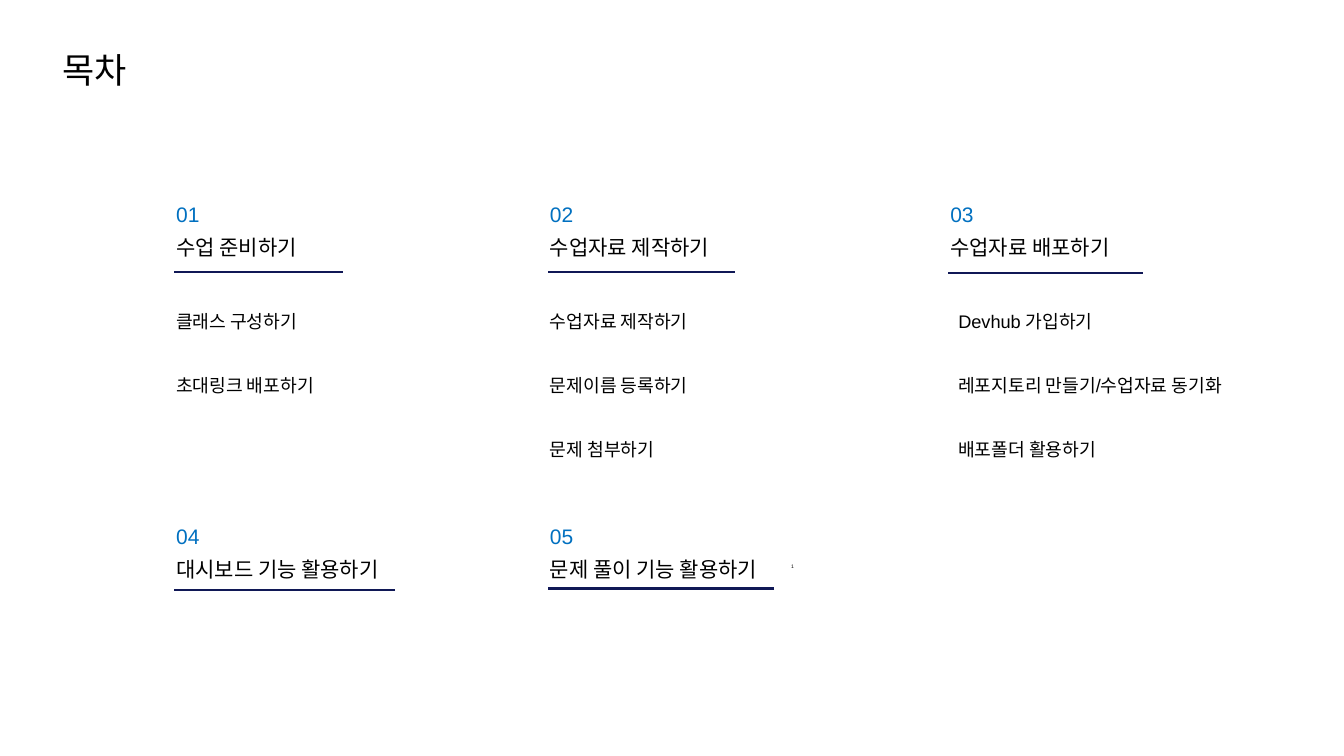
from dataclasses import dataclass

from lxml import etree
from pptx import Presentation
from pptx import util as u
from pptx.dml.color import RGBColor
from pptx.enum import shapes, text
from pptx.oxml.ns import qn


@dataclass(frozen=True)
class Theme:
    font: str = "Arial"
    ink: str = "000000"
    number: str = "0070C0"
    rule: str = "101856"
    title_size: float = 25
    heading_size: float = 15
    item_size: float = 13
    mark_size: float = 3.6
    rule_width: float = 1.5
    heading_gap: float = 5.8
    item_gap: float = 22.4
    item_spacing: float = 1.5


class ContentsPage:
    def __init__(self, deck, theme):
        self.theme = theme
        self.page = deck.slides.add_slide(deck.slide_layouts[5])

    def fill_text(self, box, lines, size, gap=0, spacing=None):
        frame = box.text_frame
        frame.text = "\n".join(lines)
        frame.word_wrap = True
        frame.auto_size = text.MSO_AUTO_SIZE.NONE
        frame.vertical_anchor = text.MSO_ANCHOR.TOP
        for index, para in enumerate(frame.paragraphs):
            para.alignment = text.PP_ALIGN.LEFT
            para.line_spacing = spacing
            if index:
                para.space_before = u.Pt(gap)
            for span in para.runs:
                span.font.name = self.theme.font
                span.font.size = u.Pt(size)
                span.font.color.rgb = RGBColor.from_string(self.theme.ink)
        return frame

    def title(self, words, left, top, width, height):
        box = self.page.shapes.title
        box.left, box.top = u.Cm(left), u.Cm(top)
        box.width, box.height = u.Cm(width), u.Cm(height)
        self.fill_text(box, [words], self.theme.title_size)

    def label(self, lines, left, top, width, height, size, gap=0, spacing=None):
        box = self.page.shapes.add_textbox(
            u.Cm(left), u.Cm(top), u.Cm(width), u.Cm(height))
        return self.fill_text(box, lines, size, gap, spacing)

    def heading(self, number, words, left, top, width):
        theme = self.theme
        frame = self.label([f"{number:02}", words], left, top, width, 1.75,
                           theme.heading_size, theme.heading_gap)
        span = frame.paragraphs[0].runs[0]
        span.font.color.rgb = RGBColor.from_string(theme.number)

    def items(self, lines, left, top, width):
        theme = self.theme
        height = 0.26 + 0.78 * (2 * len(lines) - 1)
        self.label(lines, left, top, width, height,
                   theme.item_size, theme.item_gap, theme.item_spacing)

    def underline(self, left, right, top):
        line = self.page.shapes.add_connector(
            shapes.MSO_CONNECTOR.STRAIGHT,
            u.Cm(right), u.Cm(top), u.Cm(left), u.Cm(top))
        line.line.color.rgb = RGBColor.from_string(self.theme.rule)
        line.line.width = u.Pt(self.theme.rule_width)
        etree.SubElement(line._element.spPr, qn("a:effectLst"))


def main():
    deck = Presentation()
    deck.slide_width, deck.slide_height = u.Cm(33.87), u.Cm(19.05)
    theme = Theme()
    contents = ContentsPage(deck, theme)

    contents.title("목차", 1.32, 1.09, 6.12, 1.32)

    columns = (4.19, 13.61, 23.7)
    upper, lower, items_top = 4.95, 13.06, 7.42
    narrow, wide = 4.9, 7.72
    sections = [
        ("수업 준비하기", columns[0], upper, narrow, 8.64, 6.86),
        ("수업자료 제작하기", columns[1], upper, narrow, 18.52, 6.86),
        ("수업자료 배포하기", columns[2], upper, narrow, 28.8, 6.88),
        ("대시보드 기능 활용하기", columns[0], lower, wide, 9.96, 14.86),
        ("문제 풀이 기능 활용하기", columns[1], lower, wide, 19.51, 14.83),
    ]
    for number, section in enumerate(sections, 1):
        words, left, top, width, rule_right, rule_top = section
        contents.heading(number, words, left, top, width)
        contents.underline(left + 0.2, rule_right, rule_top)

    topics = [
        (["클래스 구성하기", "초대링크 배포하기"], columns[0], narrow),
        (["수업자료 제작하기", "문제이름 등록하기", "문제 첨부하기"],
         columns[1], narrow),
        (["Devhub 가입하기", "레포지토리 만들기/수업자료 동기화", "배포폴더 활용하기"],
         columns[2] + 0.2, 8.13),
    ]
    for lines, left, width in topics:
        contents.items(lines, left, items_top, width)

    contents.label(["1"], 19.89, 14.07, 0.3, 0.41, theme.mark_size)
    deck.save("out.pptx")


if __name__ == "__main__":
    main()
